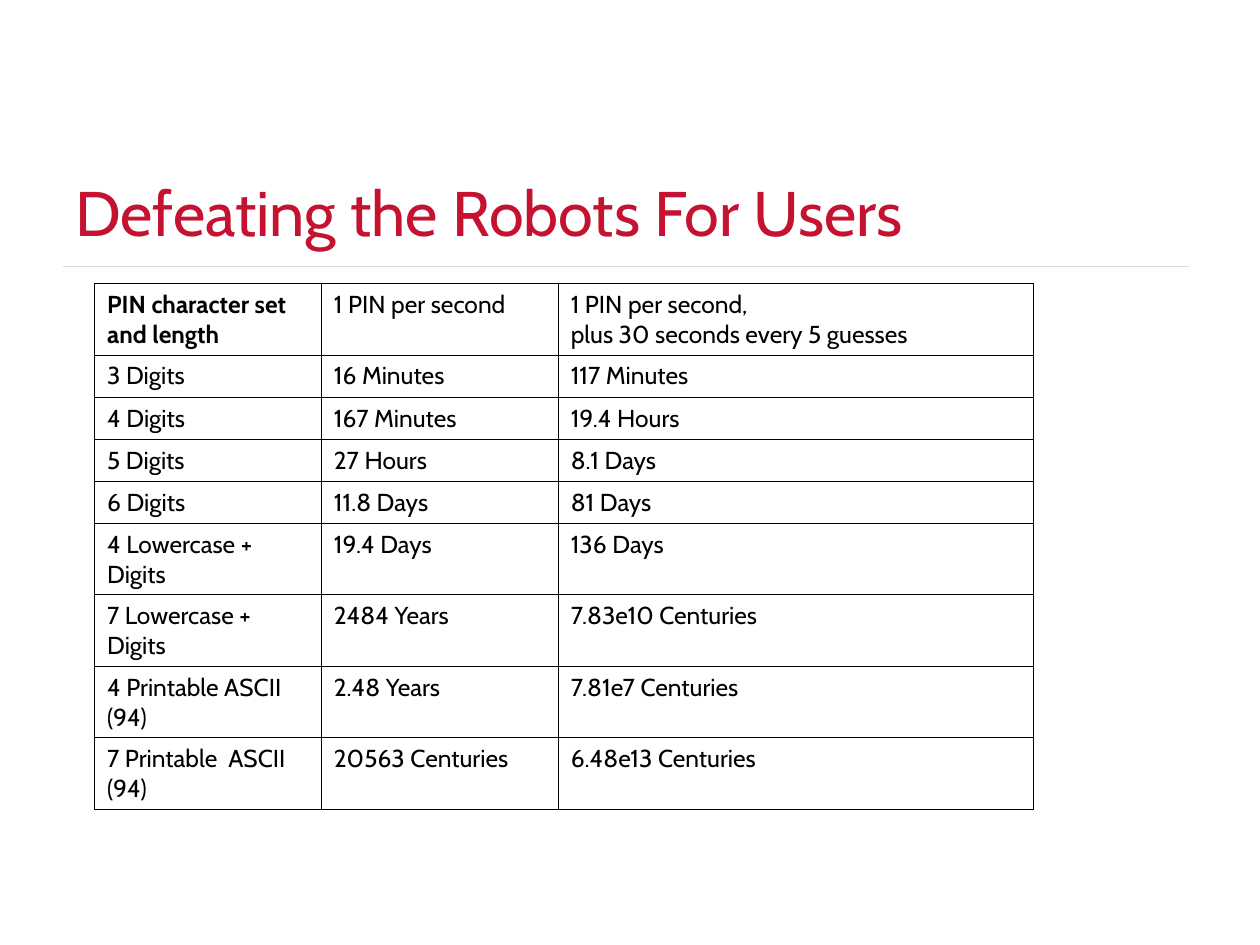
import pptx
import pptx.dml.color
import pptx.enum.shapes
import pptx.enum.text
import pptx.oxml
import pptx.oxml.ns
import pptx.util

Inches = pptx.util.Inches
Pt = pptx.util.Pt
RGBColor = pptx.dml.color.RGBColor

CRIMSON = RGBColor(0xC4, 0x12, 0x30)
BLACK = RGBColor(0, 0, 0)
PALE_GRAY = RGBColor(0xD9, 0xD9, 0xD9)

TITLE_FORMAT = {"name": "Cabin", "size": Pt(36), "bold": False}
HEADING_FORMAT = {"name": "Cabin", "size": Pt(14), "bold": True}
CELL_FORMAT = {"name": "Cabin", "size": Pt(14), "bold": False}


def write(frame, text, color, values):
    for index, line in enumerate(text.split("\n")):
        para = frame.add_paragraph() if index else frame.paragraphs[0]
        span = para.add_run()
        span.text = line
        for key, value in values.items():
            setattr(span.font, key, value)
        span.font.color.rgb = color


def add_borders(cell):
    properties = cell._tc.get_or_add_tcPr()
    for side in ("lnL", "lnR", "lnT", "lnB"):
        properties.append(pptx.oxml.parse_xml(
            f'<a:{side} {pptx.oxml.ns.nsdecls("a")} w="{Pt(0.5)}">'
            f'<a:solidFill><a:srgbClr val="{BLACK}"/></a:solidFill></a:{side}>'
        ))


deck = pptx.Presentation()
deck.slide_width = Inches(10)
deck.slide_height = Inches(7.5)
page = deck.slides.add_slide(deck.slide_layouts[6])

rule = page.shapes.add_connector(
    pptx.enum.shapes.MSO_CONNECTOR.STRAIGHT,
    Inches(0.5), Inches(2.11), Inches(9.44), Inches(2.11),
)
rule.line.color.rgb = PALE_GRAY
rule.line.width = Pt(0.25)
rule._element.spPr.append(
    pptx.oxml.parse_xml(f'<a:effectLst {pptx.oxml.ns.nsdecls("a")}/>')
)

title = page.shapes.add_textbox(Inches(0.5), Inches(1.33), Inches(7.33), Inches(1.02))
title.text_frame.word_wrap = True
title.text_frame.vertical_anchor = pptx.enum.text.MSO_ANCHOR.TOP
write(title.text_frame, "Defeating the Robots For Users", CRIMSON, TITLE_FORMAT)

ROWS = [
    ("PIN character set and length", "1 PIN per second",
     "1 PIN per second, \nplus 30 seconds every 5 guesses"),
    ("3 Digits", "16 Minutes", "117 Minutes"),
    ("4 Digits", "167 Minutes", "19.4 Hours"),
    ("5 Digits", "27 Hours", "8.1 Days"),
    ("6 Digits", "11.8 Days", "81 Days"),
    ("4 Lowercase + Digits", "19.4 Days", "136 Days"),
    ("7 Lowercase + Digits", "2484 Years", "7.83e10 Centuries"),
    ("4 Printable ASCII (94)", "2.48 Years", "7.81e7 Centuries"),
    ("7 Printable  ASCII (94)", "20563 Centuries", "6.48e13 Centuries"),
]
COLUMN_WIDTHS = (1.8, 1.88, 3.77)
SINGLE_LINE_ROWS = range(1, 5)

table = page.shapes.add_table(
    len(ROWS), len(COLUMN_WIDTHS),
    Inches(0.75), Inches(2.25), Inches(sum(COLUMN_WIDTHS)), Inches(3.89),
).table
table.first_row = False
table.horz_banding = False
for column, width in zip(table.columns, COLUMN_WIDTHS):
    column.width = Inches(width)

for row_index, texts in enumerate(ROWS):
    table.rows[row_index].height = Inches(0.31 if row_index in SINGLE_LINE_ROWS else 0.53)
    for column_index, text in enumerate(texts):
        cell = table.cell(row_index, column_index)
        add_borders(cell)
        cell.fill.background()
        is_heading = row_index == 0 and column_index == 0
        write(cell.text_frame, text, BLACK, HEADING_FORMAT if is_heading else CELL_FORMAT)

deck.save("out.pptx")
